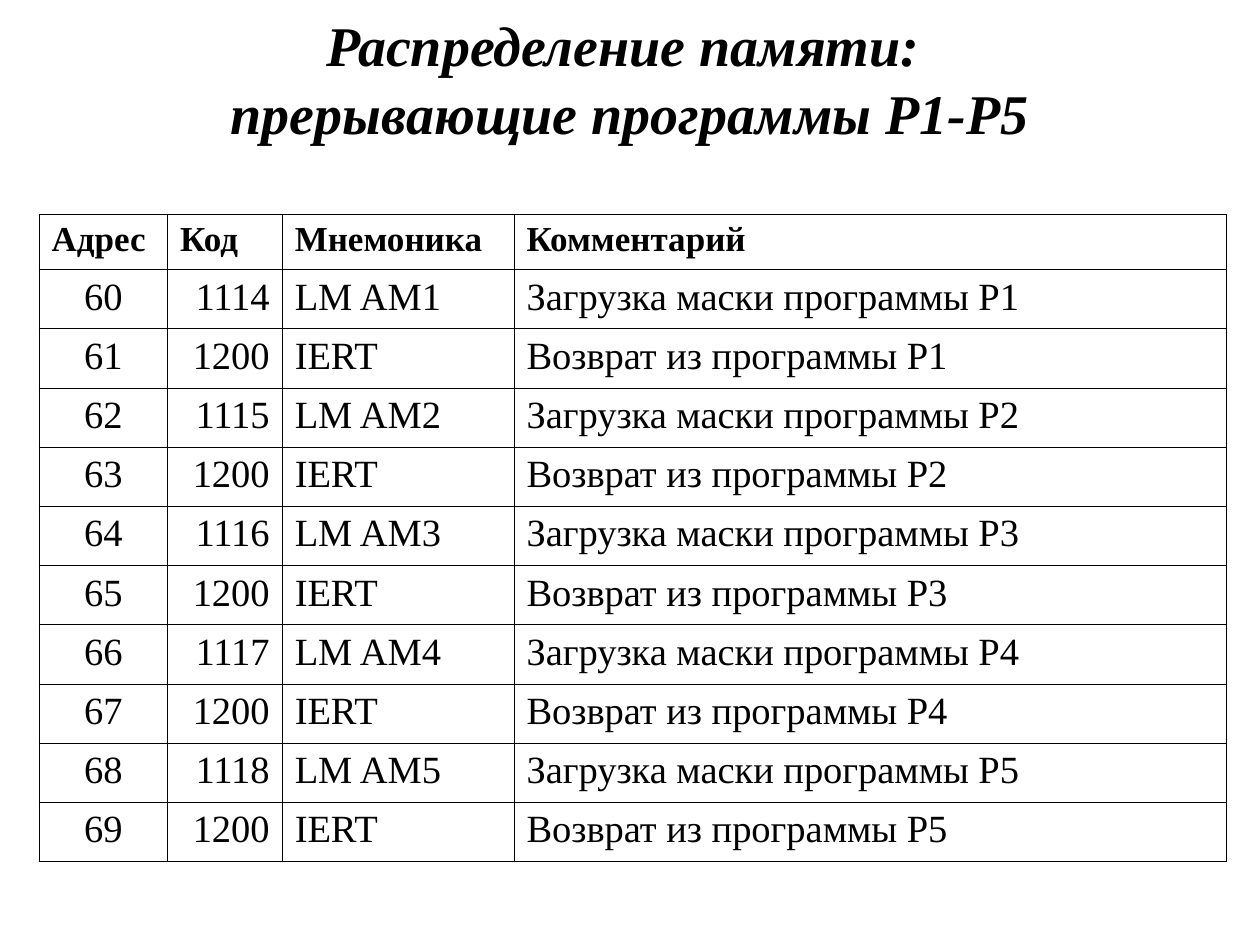
import dataclasses

import lxml.etree
import pptx
import pptx.dml.color
import pptx.enum.text
import pptx.oxml.ns
import pptx.table
import pptx.text.text
import pptx.util

BLACK = pptx.dml.color.RGBColor(0x00, 0x00, 0x00)
FONT = "Times New Roman"
BORDER_WIDTH = pptx.util.Pt(0.45)
ALIGN = pptx.enum.text.PP_ALIGN


@dataclasses.dataclass(frozen=True)
class Column:
    heading: str
    width: float
    alignment: pptx.enum.text.PP_ALIGN


@dataclasses.dataclass(frozen=True)
class Instruction:
    address: int
    code: int
    mnemonic: str
    comment: str


COLUMNS = (
    Column("Адрес", 1.02, ALIGN.CENTER),
    Column("Код", 0.91, ALIGN.RIGHT),
    Column("Мнемоника", 1.84, ALIGN.LEFT),
    Column("Комментарий", 5.65, ALIGN.JUSTIFY),
)
HEADING_HEIGHT = 0.44
ROW_HEIGHT = 0.47


def interrupt_program(number: int) -> list[Instruction]:
    address = 58 + 2 * number
    return [
        Instruction(address, 1113 + number, f"LM AM{number}",
                    f"Загрузка маски программы P{number}"),
        Instruction(address + 1, 1200, "IERT",
                    f"Возврат из программы P{number}"),
    ]


def format_paragraph(
    paragraph: pptx.text.text._Paragraph,
    alignment: pptx.enum.text.PP_ALIGN,
    size: float,
    bold: bool = False,
    italic: bool = False,
) -> None:
    paragraph.alignment = alignment
    font_format = {"name": FONT, "size": pptx.util.Pt(size), "bold": bold, "italic": italic}
    for run in paragraph.runs:
        for attribute, value in font_format.items():
            setattr(run.font, attribute, value)
        run.font.color.rgb = BLACK


def add_borders(cell: pptx.table._Cell) -> None:
    properties = cell._tc.get_or_add_tcPr()
    qn = pptx.oxml.ns.qn
    for side in ("lnL", "lnR", "lnT", "lnB"):
        border = lxml.etree.SubElement(properties, qn(f"a:{side}"), w=str(int(BORDER_WIDTH)))
        fill = lxml.etree.SubElement(border, qn("a:solidFill"))
        lxml.etree.SubElement(fill, qn("a:srgbClr"), val=str(BLACK))


def fill_cell(
    cell: pptx.table._Cell,
    text: str,
    alignment: pptx.enum.text.PP_ALIGN,
    size: float,
    bold: bool = False,
) -> None:
    cell.text = text
    format_paragraph(cell.text_frame.paragraphs[0], alignment, size, bold)
    add_borders(cell)
    cell.fill.background()


def add_title(slide: pptx.slide.Slide) -> None:
    title = slide.shapes.title
    placement = {"left": 0, "top": 0.13, "width": 10, "height": 0.98}
    for attribute, value in placement.items():
        setattr(title, attribute, pptx.util.Inches(value))
    frame = title.text_frame
    frame_format = {
        "word_wrap": True,
        "auto_size": pptx.enum.text.MSO_AUTO_SIZE.NONE,
        "vertical_anchor": pptx.enum.text.MSO_ANCHOR.MIDDLE,
    }
    for attribute, value in frame_format.items():
        setattr(frame, attribute, value)
    heading = frame.paragraphs[0]
    heading.text = "Распределение памяти: \vпрерывающие программы Р1-Р5"
    format_paragraph(heading, ALIGN.CENTER, 32, bold=True, italic=True)


def add_memory_table(slide: pptx.slide.Slide, instructions: list[Instruction]) -> None:
    inches = pptx.util.Inches
    memory = slide.shapes.add_table(
        len(instructions) + 1, len(COLUMNS), inches(0.31), inches(1.7),
        inches(sum(column.width for column in COLUMNS)),
        inches(HEADING_HEIGHT + ROW_HEIGHT * len(instructions)),
    ).table
    for attribute, value in {"first_row": False, "horz_banding": False}.items():
        setattr(memory, attribute, value)

    memory.rows[0].height = inches(HEADING_HEIGHT)
    for index, column in enumerate(COLUMNS):
        memory.columns[index].width = inches(column.width)
        fill_cell(memory.cell(0, index), column.heading, ALIGN.JUSTIFY, 20, bold=True)

    for row, instruction in enumerate(instructions, start=1):
        memory.rows[row].height = inches(ROW_HEIGHT)
        values = dataclasses.astuple(instruction)
        for index, (column, value) in enumerate(zip(COLUMNS, values)):
            fill_cell(memory.cell(row, index), str(value), column.alignment, 22)


def main() -> None:
    presentation = pptx.Presentation()
    presentation.slide_width = pptx.util.Inches(10)
    presentation.slide_height = pptx.util.Inches(7.5)
    slide = presentation.slides.add_slide(presentation.slide_layouts[5])
    add_title(slide)
    instructions = [
        instruction for number in range(1, 6) for instruction in interrupt_program(number)
    ]
    add_memory_table(slide, instructions)
    presentation.save("out.pptx")


if __name__ == "__main__":
    main()
